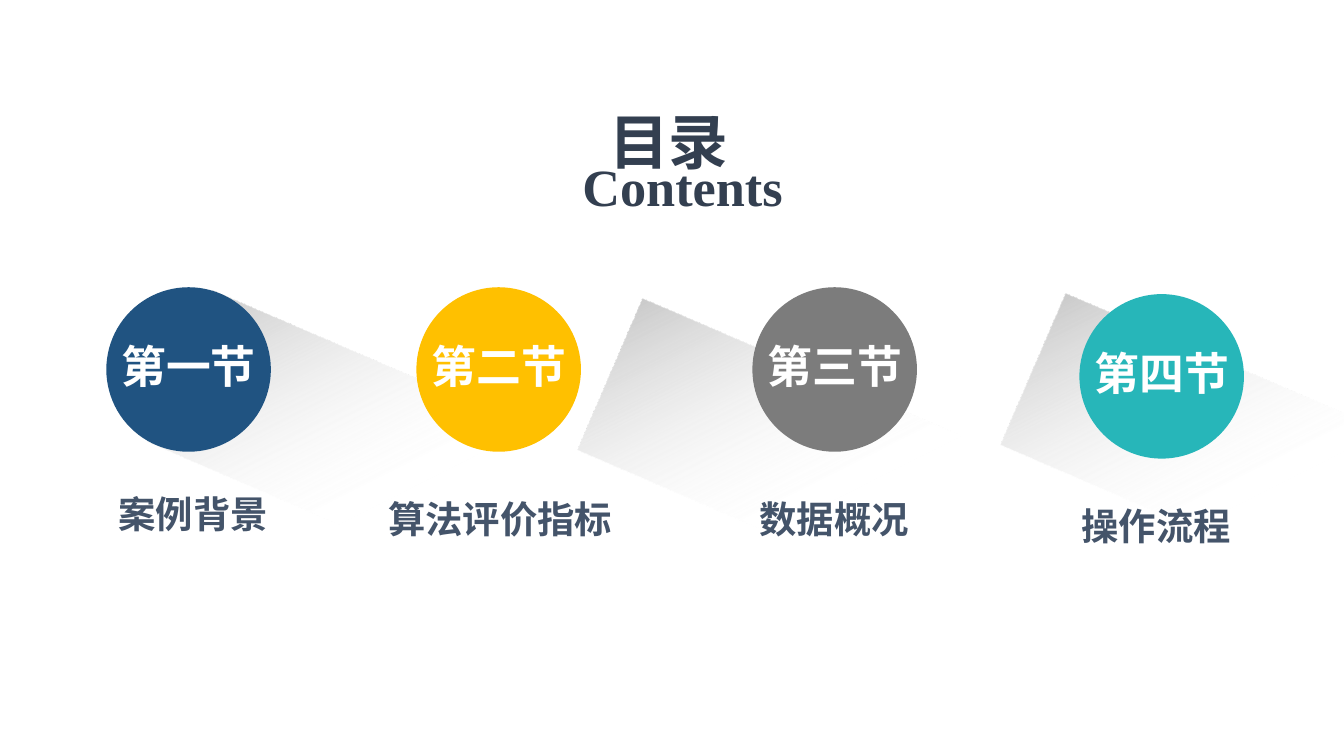
from dataclasses import dataclass

from lxml.etree import SubElement
from pptx import Presentation
from pptx.dml.color import RGBColor
from pptx.enum.shapes import MSO_SHAPE as Shape
from pptx.enum.text import MSO_ANCHOR as Anchor, MSO_AUTO_SIZE as AutoSize, PP_ALIGN as Align
from pptx.oxml.ns import qn
from pptx.slide import Slide
from pptx.util import Cm, Pt

CIRCLE_SIZE = 3.11
SHADOW_SPOTS = [(3.02, 7.24), (19.15, 7.29), (11.15, 7.39)]
# number, topic, colour, circle left, circle top, topic left, topic top, topic width
SECTIONS = [
    ("第一节", "案例背景", "205381", 2.01, 5.43, 1.09, 9.27, 5.13),
    ("第二节", "算法评价指标", "FFC000", 7.87, 5.43, 7.32, 9.37, 4.27),
    ("第三节", "数据概况", "7C7C7C", 14.22, 5.43, 14.35, 9.37, 2.84),
    ("第四节", "操作流程", "27B6B9", 20.4, 5.56, 20.4, 9.5, 2.9),
]


def color(hex_string):
    return RGBColor.from_string(hex_string)


@dataclass
class ContentsSlide:
    slide: Slide
    chinese_font: str = "Noto Sans CJK SC"
    latin_font: str = "Times New Roman"
    title_color: str = "333F50"
    topic_color: str = "44546A"

    def set_text(self, shape, text, size, hex_string, font_name, align=Align.CENTER,
                 anchor=Anchor.MIDDLE, wrap=False):
        """Fill a shape with one bold paragraph and no inner margins."""
        frame = shape.text_frame
        frame.text = text
        frame.auto_size = AutoSize.NONE
        frame.word_wrap = wrap
        frame.vertical_anchor = anchor
        frame.margin_left = frame.margin_right = frame.margin_top = frame.margin_bottom = 0
        paragraph = frame.paragraphs[0]
        paragraph.alignment = align
        for run in paragraph.runs:
            run.font.size = Pt(size)
            run.font.bold = True
            run.font.name = font_name
            run.font.color.rgb = color(hex_string)
            SubElement(run.font._element, qn("a:ea"), typeface=font_name)

    def add_shape(self, kind, left, top, width, height):
        shape = self.slide.shapes.add_shape(kind, Cm(left), Cm(top), Cm(width), Cm(height))
        shape.shadow.inherit = False
        shape.line.fill.background()
        return shape

    def add_title(self, text, left, top, width, height):
        title = self.slide.shapes.title
        title.left, title.top, title.width, title.height = map(Cm, (left, top, width, height))
        self.set_text(title, text, 32, self.title_color, self.chinese_font,
                      Align.LEFT, Anchor.TOP, wrap=True)

    def add_subtitle(self, text, left, top, width, height):
        diamond = self.add_shape(Shape.DIAMOND, left, top, width, height)
        diamond.fill.background()
        self.set_text(diamond, text, 28, self.title_color, self.latin_font)

    def add_long_shadow(self, left, top):
        """Add a tilted bar that fades from grey to nothing."""
        bar = self.add_shape(Shape.RECTANGLE, left, top, 9.45, 3.11)
        bar.rotation = 23.3
        bar.fill.gradient()
        bar.fill.gradient_angle = 320
        start, end = bar.fill.gradient_stops
        start.position, end.position = 0, 0.54
        start.color.rgb, end.color.rgb = color("BFBFBF"), color("FFFFFF")
        for white in bar._element.spPr.findall(".//" + qn("a:srgbClr"))[1:]:
            SubElement(white, qn("a:alpha"), val="0")

    def add_circle(self, left, top, hex_string):
        circle = self.add_shape(Shape.OVAL, left, top, CIRCLE_SIZE, CIRCLE_SIZE)
        circle.fill.solid()
        circle.fill.fore_color.rgb = color(hex_string)

    def add_label(self, text, left, top, width, height, size, hex_string):
        box = self.slide.shapes.add_textbox(Cm(left), Cm(top), Cm(width), Cm(height))
        self.set_text(box, text, size, hex_string, self.chinese_font)

    def add_section(self, number, topic, hex_string, left, top, topic_left, topic_top, topic_width):
        self.add_circle(left, top, hex_string)
        self.add_label(number, left, top + 0.84, CIRCLE_SIZE, 1.27, 24, "FFFFFF")
        self.add_label(topic, topic_left, topic_top, topic_width, 0.86, 20, self.topic_color)


def main():
    presentation = Presentation()
    presentation.slide_width, presentation.slide_height = Cm(25.4), Cm(14.29)
    title_only = presentation.slide_layouts[5]
    contents = ContentsSlide(presentation.slides.add_slide(title_only))
    contents.add_title("目录", 11.51, 1.98, 2.79, 1.27)
    contents.add_subtitle("Contents", 11.3, 1.93, 3.2, 3.15)
    for spot in SHADOW_SPOTS:
        contents.add_long_shadow(*spot)
    for section in SECTIONS:
        contents.add_section(*section)
    presentation.save("out.pptx")


if __name__ == "__main__":
    main()
